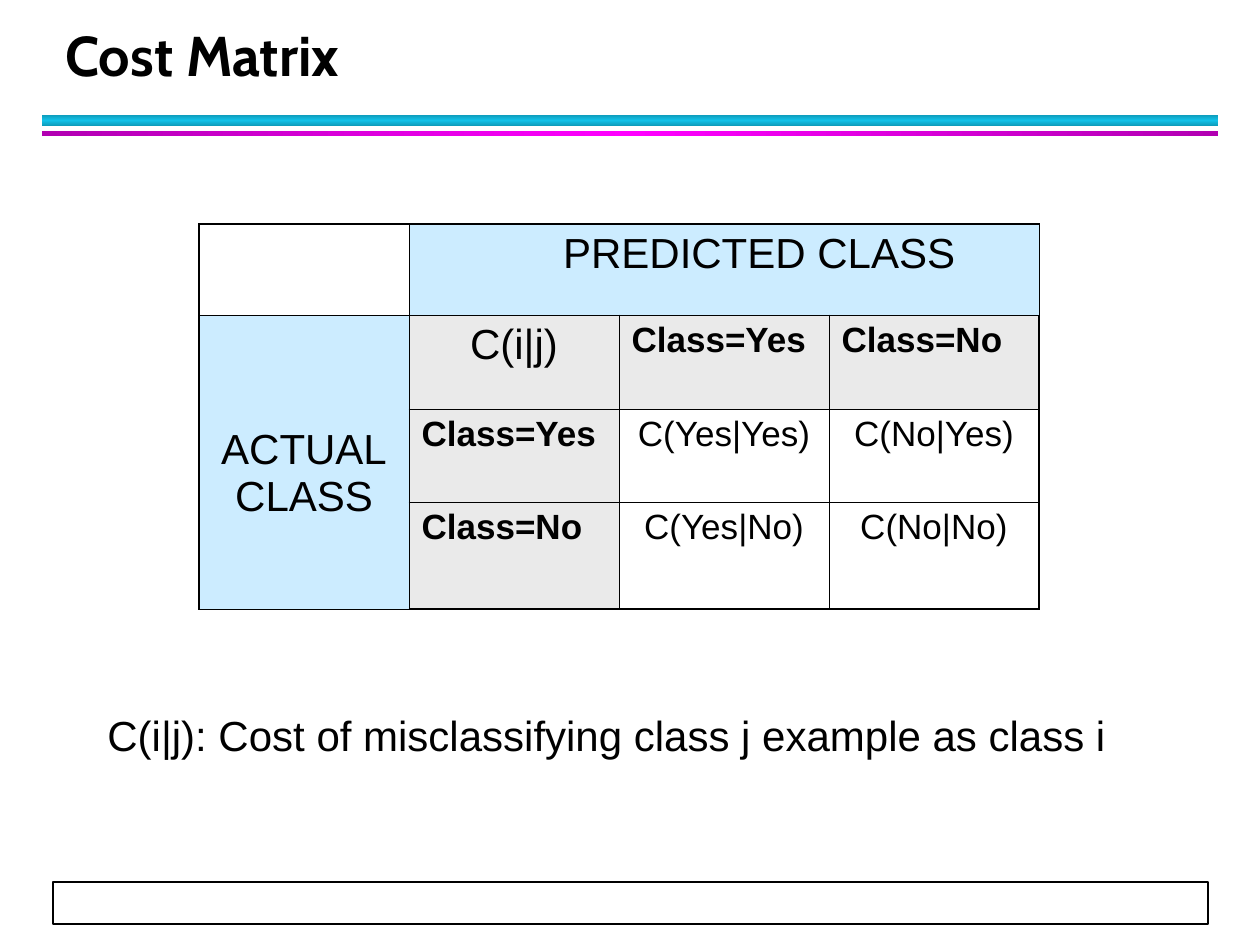
from lxml import etree
from pptx import Presentation
from pptx import util as u
from pptx.dml.color import RGBColor
from pptx.enum import shapes, text
from pptx.oxml import ns

SCALE = 914400 / 126
BLACK = RGBColor(0x00, 0x00, 0x00)
WHITE = RGBColor(0xFF, 0xFF, 0xFF)
SKY = RGBColor(0xCC, 0xEC, 0xFF)
GRAY = RGBColor(0xEA, 0xEA, 0xEA)
DARK_CYAN = RGBColor(0x0E, 0x9B, 0xBA)
CYAN = RGBColor(0x12, 0xC2, 0xE9)
PURPLE = RGBColor(0xB2, 0x00, 0xB2)
MAGENTA = RGBColor(0xFF, 0x00, 0xFF)

CENTER = text.PP_ALIGN.CENTER
LEFT = text.PP_ALIGN.LEFT
COLUMN_WIDTH = 210
ROW_HEIGHTS = (91, 94, 93, 107)
HEADERS = ("Class=Yes", "Class=No")
COSTS = (("C(Yes|Yes)", "C(No|Yes)"), ("C(Yes|No)", "C(No|No)"))


def px(length):
    return u.Emu(round(length * SCALE))


def style(paragraph, size, bold=False, font="Arial", align=LEFT):
    paragraph.alignment = align
    paragraph.font.name = font
    paragraph.font.size = u.Pt(size)
    paragraph.font.bold = bold
    paragraph.font.color.rgb = BLACK


def add_box(slide, *bounds):
    box = slide.shapes.add_shape(shapes.MSO_SHAPE.RECTANGLE, *map(px, bounds))
    box.shadow.inherit = False
    return box


def add_band(slide, bounds, edge, middle, angle):
    band = add_box(slide, *bounds)
    band.line.fill.background()
    band.fill.gradient()
    band.fill.gradient_angle = angle
    stops = band.fill._fill._gradFill.find(ns.qn("a:gsLst"))
    stops.clear()
    for position, color in ((0, edge), (50000, middle), (100000, edge)):
        stop = etree.SubElement(stops, ns.qn("a:gs"), pos=str(position))
        etree.SubElement(stop, ns.qn("a:srgbClr"), val=str(color))


def add_footer(slide):
    footer = add_box(slide, 53, 882, 1155, 42)
    footer.fill.solid()
    footer.fill.fore_color.rgb = WHITE
    footer.line.color.rgb = BLACK
    footer.line.width = u.Pt(1)


def add_label(slide, bounds, words, size, **look):
    frame = slide.shapes.add_textbox(*map(px, bounds)).text_frame
    frame.word_wrap = True
    frame.text = words
    style(frame.paragraphs[0], size, **look)
    return frame


def set_borders(cell, outer_sides):
    properties = cell._tc.get_or_add_tcPr()
    for index, side in enumerate("LRTB"):
        width = u.Pt(1.08 if side in outer_sides else 0.45)
        border = etree.Element(ns.qn(f"a:ln{side}"), w=str(int(width)))
        fill = etree.SubElement(border, ns.qn("a:solidFill"))
        etree.SubElement(fill, ns.qn("a:srgbClr"), val=str(BLACK))
        properties.insert(index, border)


def fill_cell(cell, words, size, color, bold=False, align=CENTER):
    cell.text = words
    cell.fill.solid()
    cell.fill.fore_color.rgb = color
    paragraph = cell.text_frame.paragraphs[0]
    style(paragraph, size, bold, align=align)
    paragraph.space_before = u.Pt(3 if size == 24 else 2.5)
    paragraph.space_after = u.Pt(4)


def add_matrix(slide):
    bounds = (199, 224, 4 * COLUMN_WIDTH, sum(ROW_HEIGHTS))
    matrix = slide.shapes.add_table(4, 4, *map(px, bounds)).table
    matrix.first_row = matrix.horz_banding = False
    for column in matrix.columns:
        column.width = px(COLUMN_WIDTH)
    for row, height in zip(matrix.rows, ROW_HEIGHTS):
        row.height = px(height)

    for row in range(4):
        for column in range(4):
            cell = matrix.cell(row, column)
            cell.fill.background()
            edges = {"L": column == 0, "R": column == 3, "T": row == 0, "B": row == 3}
            set_borders(cell, [side for side, outer in edges.items() if outer])

    predicted, actual = matrix.cell(0, 1), matrix.cell(1, 0)
    predicted.merge(matrix.cell(0, 3))
    actual.merge(matrix.cell(3, 0))
    fill_cell(predicted, "PREDICTED CLASS", 24, SKY)
    predicted.margin_left = px(83)
    fill_cell(actual, "ACTUAL\vCLASS", 24, SKY)
    actual.margin_top = px(112)
    fill_cell(matrix.cell(1, 1), "C(i|j)", 24, GRAY)
    for index, (header, costs) in enumerate(zip(HEADERS, COSTS), 2):
        for cell in (matrix.cell(1, index), matrix.cell(index, 1)):
            fill_cell(cell, header, 20, GRAY, bold=True, align=LEFT)
        for column, cost in enumerate(costs, 2):
            fill_cell(matrix.cell(index, column), cost, 20, WHITE)


def main():
    """Build the cost matrix slide."""
    deck = Presentation()
    deck.slide_width, deck.slide_height = px(1260), px(945)
    slide = deck.slides.add_slide(deck.slide_layouts[6])
    add_band(slide, (42, 115, 1176, 11), DARK_CYAN, CYAN, 90)
    add_band(slide, (42, 131, 1176, 5), PURPLE, MAGENTA, 0)
    add_footer(slide)
    title = add_label(slide, (53, 21, 1142, 73), "Cost Matrix", 32, bold=True, font="Cabin")
    title.vertical_anchor = text.MSO_ANCHOR.BOTTOM
    title.paragraphs[0].line_spacing = u.Pt(36)
    add_matrix(slide)
    meaning = "C(i|j): Cost of misclassifying class j example as class i"
    add_label(slide, (95, 703, 1081, 126), meaning, 24)
    deck.save("out.pptx")


if __name__ == "__main__":
    main()
